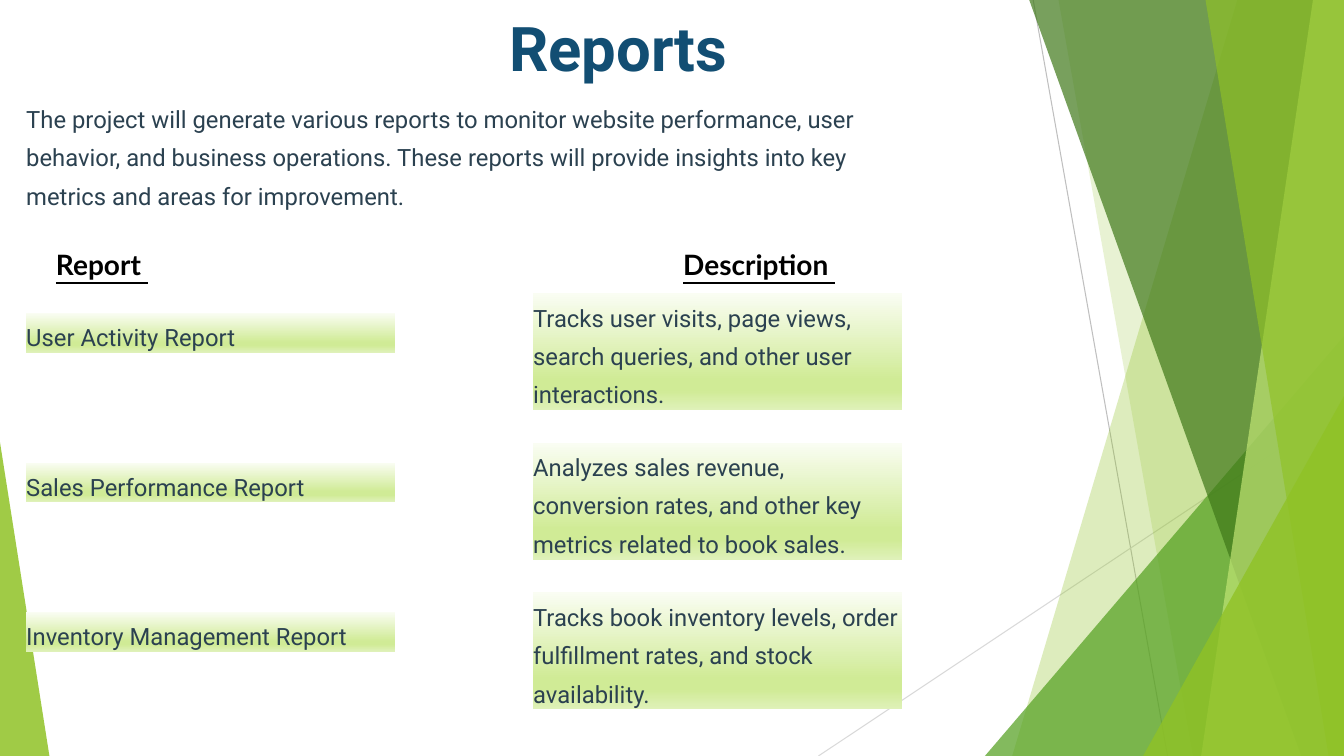
from lxml import etree
from pptx import Presentation
from pptx.dml.color import RGBColor as RGB
from pptx.enum.shapes import MSO_CONNECTOR as CONN, MSO_SHAPE as SHAPE
from pptx.enum.text import MSO_ANCHOR as ANCHOR, PP_ALIGN as ALIGN
from pptx.oxml import parse_xml
from pptx.oxml.ns import nsdecls, qn
from pptx.util import Pt

COLORS = {
    "lime": "90C226", "green": "54A021", "forest": "3F7819", "pale": "C0E474",
    "gray": "BFBFBF", "silver": "D9D9D9", "navy": "124E73", "slate": "2B4150",
    "black": "000000", "white": "FFFFFF",
}
GRADIENT = [(0, "FAFDF3"), (74, "D0EB96"), (83, "D0EB96"), (100, "DFF1B9")]
W, H, TOP = 960, 540, -0.6


def write(p, text, font="Roboto", size=17, color="slate", bold=False, underline=False):
    """Add a formatted run to a paragraph."""
    r = p.add_run()
    r.text = text
    f = r.font
    f.name, f.size, f.bold, f.underline = font, Pt(size), bold, underline
    f.color.rgb = RGB.from_string(COLORS[color])


class Deck:
    """Hold the style and current slide, and draw each kind of element."""

    def __init__(self):
        """Start a blank widescreen slide."""
        self.prs = Presentation()
        self.prs.slide_width, self.prs.slide_height = Pt(W), Pt(H)
        self.s = self.prs.slides.add_slide(self.prs.slide_layouts[6])

    def line(self, x1, y1, x2, y2, color):
        """Draw a thin straight line."""
        c = self.s.shapes.add_connector(CONN.STRAIGHT, Pt(x1), Pt(y1), Pt(x2), Pt(y2))
        c.line.color.rgb = RGB.from_string(COLORS[color])
        c.line.width = Pt(0.75)
        etree.SubElement(c._element.spPr, qn("a:effectLst"))

    def fill(self, sp, color, opacity):
        """Give a shape a translucent fill with no outline or shadow."""
        sp.shadow.inherit = False
        sp.line.fill.background()
        sp.fill.solid()
        sp.fill.fore_color.rgb = RGB.from_string(COLORS[color])
        clr = sp._element.spPr.find(qn("a:solidFill"))[0]
        etree.SubElement(clr, qn("a:alpha"), val=str(opacity * 1000))

    def band(self, top_x, bottom_x, color, opacity):
        """Draw a slanted band reaching the right edge of the slide."""
        fb = self.s.shapes.build_freeform(Pt(top_x), Pt(TOP))
        corners = [(W, TOP), (W, H), (bottom_x, H)]
        fb.add_line_segments([(Pt(x), Pt(y)) for x, y in corners], close=True)
        self.fill(fb.convert_to_shape(), color, opacity)

    def triangle(self, x, y, w, apex, color, opacity):
        """Draw a triangle standing on the bottom of the slide."""
        sp = self.s.shapes.add_shape(SHAPE.ISOSCELES_TRIANGLE, Pt(x), Pt(y), Pt(w), Pt(H - y))
        sp.adjustments[0] = apex
        self.fill(sp, color, opacity)

    def frame(self, sp, left=0, top=0, spacing=None):
        """Prepare a text frame and return its first paragraph."""
        tf = sp.text_frame
        tf.word_wrap = True
        tf.vertical_anchor = ANCHOR.TOP
        tf.margin_left, tf.margin_top = Pt(left), Pt(top)
        tf.margin_right = tf.margin_bottom = 0
        p = tf.paragraphs[0]
        p.alignment = ALIGN.LEFT
        if spacing:
            p.line_spacing = Pt(spacing)
        return p

    def text(self, x, y, w, h, text, spacing=27.5, **fmt):
        """Place a text box."""
        sp = self.s.shapes.add_textbox(Pt(x), Pt(y), Pt(w), Pt(h))
        write(self.frame(sp, spacing=spacing), text, **fmt)

    def header(self, x, y, w, h, labels, tab):
        """Place underlined column headings separated by a tab stop."""
        sp = self.s.shapes.add_shape(SHAPE.RECTANGLE, Pt(x), Pt(y), Pt(w), Pt(h))
        self.fill(sp, "white", 4)
        p = self.frame(sp, left=21.3, top=3.6)
        tabs = etree.SubElement(p._p.get_or_add_pPr(), qn("a:tabLst"))
        etree.SubElement(tabs, qn("a:tab"), pos=str(Pt(tab)), algn="l")
        for i, label in enumerate(labels):
            if i:
                write(p, "\t", font="Lato", size=18, color="black")
            write(p, label, font="Lato", size=20, color="black", bold=True, underline=True)

    def cell(self, x, y, w, h, text):
        """Place a text block on a vertical green gradient."""
        sp = self.s.shapes.add_shape(SHAPE.RECTANGLE, Pt(x), Pt(y), Pt(w), Pt(h))
        sp.shadow.inherit = False
        sp.line.fill.background()
        stops = "".join(
            f'<a:gs pos="{pos * 1000}"><a:srgbClr val="{c}"/></a:gs>' for pos, c in GRADIENT)
        grad = parse_xml(
            f'<a:gradFill {nsdecls("a")} rotWithShape="1"><a:gsLst>{stops}</a:gsLst>'
            '<a:lin ang="5400000" scaled="0"/></a:gradFill>')
        sp._element.spPr.find(qn("a:prstGeom")).addnext(grad)
        write(self.frame(sp, spacing=27.5), text)


def main():
    """Build the reports slide."""
    d = Deck()
    d.line(738, 0, 834, H, "gray")
    d.line(W, 290, 584.6, H, "silver")
    d.band(884, 723, "lime", 30)
    d.band(756, 852, "lime", 20)
    d.triangle(703.5, 240, 256.5, 1, "green", 72)
    d.band(735, 929.5, "forest", 70)
    d.band(938, 858, "pale", 70)
    d.band(861, 949, "lime", 65)
    d.triangle(816.5, 283, 143.5, 1, "lime", 80)
    d.triangle(0, 316, 35.3, 0, "lime", 85)

    d.text(363.6, 5.8, 435.6, 54.7, "Reports", spacing=54, size=44, color="navy", bold=True)
    d.text(18.7, 67.7, 598.3, 83.5,
           "The project will generate various reports to monitor website performance, "
           "user behavior, and business operations. These reports will provide insights "
           "into key metrics and areas for improvement.")
    d.header(18.7, 173.5, 597, 49.7, ["Report ", "Description "], 448)

    reports = [
        ("User Activity Report",
         "Tracks user visits, page views, search queries, and other user interactions."),
        ("Sales Performance Report",
         "Analyzes sales revenue, conversion rates, and other key metrics related to book sales."),
        ("Inventory Management Report",
         "Tracks book inventory levels, order fulfillment rates, and stock availability."),
    ]
    for i, (report, description) in enumerate(reports):
        y = 209.5 + 106.8 * i
        d.cell(18.7, y + 14.2, 263.5, 28, report)
        d.cell(380.8, y, 263.5, 83.5, description)
    d.prs.save("out.pptx")


if __name__ == "__main__":
    main()
